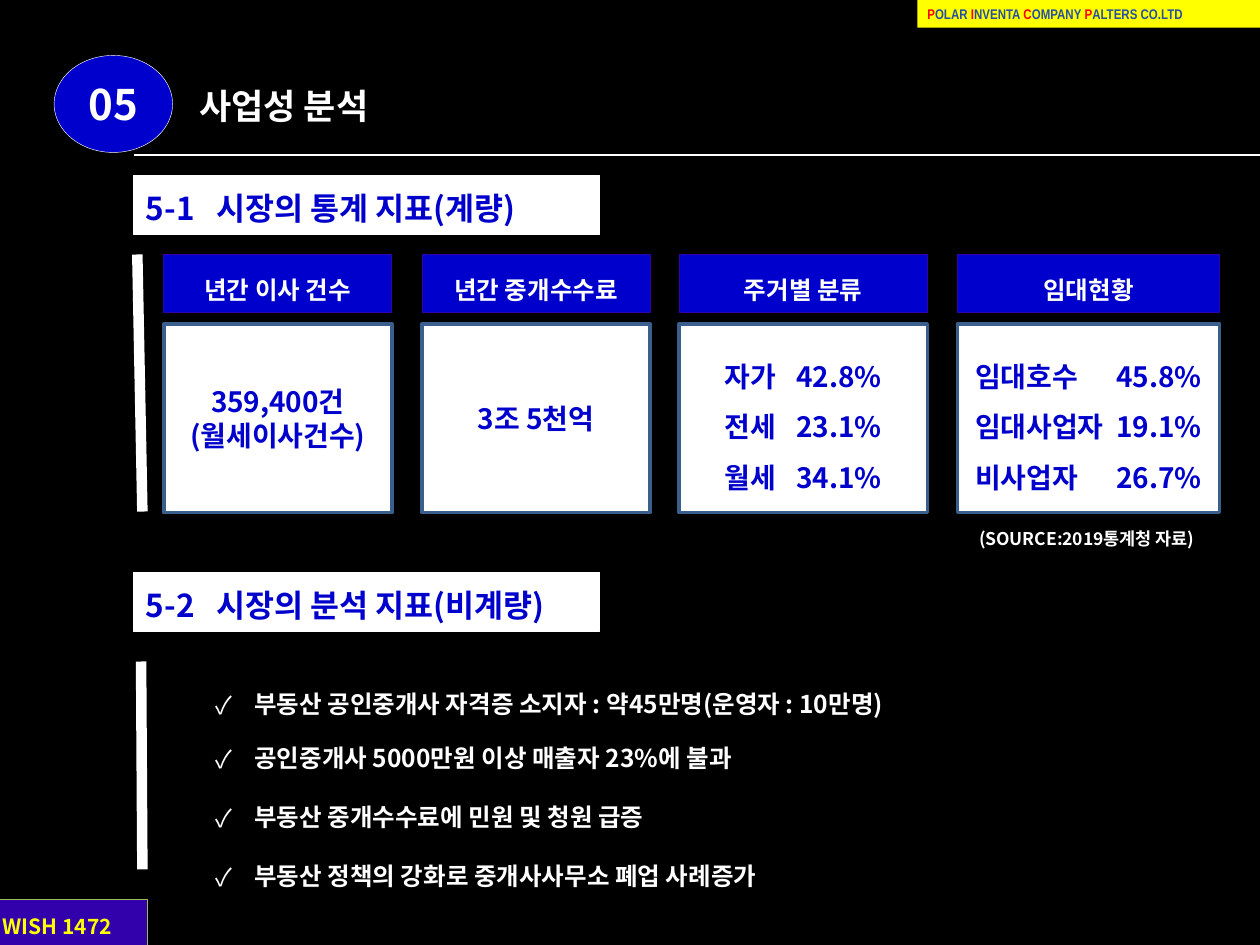
"""Build the market analysis slide with indicator cards and a checklist."""
from lxml.etree import SubElement
from pptx import Presentation
from pptx.dml.color import RGBColor
from pptx.enum.shapes import MSO_CONNECTOR, MSO_SHAPE
from pptx.enum.text import MSO_ANCHOR, PP_ALIGN
from pptx.oxml.ns import qn
from pptx.util import Inches, Pt

THEME = {
    "font": "Noto Sans CJK KR", "banner_font": "Arial Narrow",
    "black": "000000", "white": "FFFFFF", "blue": "0000CC", "violet": "3201AB",
    "steel": "3A5F8C", "yellow": "FFFF00", "green": "9BBB59",
    "red": "FF0000", "navy": "274FA4",
    "number": 24, "title": 20, "section": 18, "value": 16, "body": 14,
    "footer": 12, "source": 10, "banner": 8,
}
TITLE = ("05", "사업성 분석")
SECTIONS = [(1.39, "5-1", "시장의 통계 지표(계량)"), (4.54, "5-2", "시장의 분석 지표(비계량)")]
CARDS = [
    {"left": 1.3, "width": 1.81, "head": "년간 이사 건수",
     "lines": ["359,400건", "(월세이사건수)"]},
    {"left": 3.35, "width": 1.81, "head": "년간 중개수수료", "lines": ["3조 5천억"]},
    {"left": 5.39, "width": 1.97, "head": "주거별 분류", "inset": 0.36, "tab": 0.57,
     "lines": [("자가", "42.8%"), ("전세", "23.1%"), ("월세", "34.1%")]},
    {"left": 7.6, "width": 2.08, "head": "임대현황", "inset": 0.14, "tab": 1.12,
     "lines": [("임대호수", "45.8%"), ("임대사업자", "19.1%"), ("비사업자", "26.7%")]},
]
SOURCE = "(SOURCE:2019통계청 자료)"
CHECKS = [
    (5.3, 6.14, "부동산 공인중개사 자격증 소지자 : 약45만명(운영자 : 10만명)"),
    (5.73, 5.98, "공인중개사 5000만원 이상 매출자 23%에 불과"),
    (6.2, 5.51, "부동산 중개수수료에 민원 및 청원 급증"),
    (6.67, 6.57, "부동산 정책의 강화로 중개사사무소 폐업 사례증가"),
]
BANNER = ["POLAR", "INVENTA", "COMPANY", "PALTERS"]
BANNER_END = "CO.LTD"
FOOTER = "WISH 1472"
RULES = [(1.06, 1.23, 10, 1.23, 0.75), (1.09, 2.02, 1.13, 4.06, 6), (1.12, 5.25, 1.13, 6.9, 6)]


def color(name):
    return RGBColor.from_string(THEME[name])


def apply_format(target, values):
    for name, value in values.items():
        setattr(target, name, value)


def add_box(slide, box, fill, line=None, line_width=0.25, kind=MSO_SHAPE.RECTANGLE, **frame):
    shape = slide.shapes.add_shape(kind, *map(Inches, box))
    shape.shadow.inherit = False
    shape.fill.solid()
    shape.fill.fore_color.rgb = color(fill)
    if line:
        shape.line.color.rgb = color(line)
        shape.line.width = Pt(line_width)
    else:
        shape.line.fill.background()
    apply_format(shape.text_frame, {"word_wrap": True, "vertical_anchor": MSO_ANCHOR.TOP, **frame})
    return shape


def add_run(paragraph, text, size, ink, font="font"):
    run = paragraph.add_run()
    run.text = text
    run.font.color.rgb = color(ink)
    apply_format(run.font, {"size": Pt(THEME[size]), "bold": True, "name": THEME[font]})
    SubElement(run.font._element, qn("a:ea"), typeface=THEME[font])


def write(shape, lines, size, ink, align=PP_ALIGN.LEFT, spacing=1.0, tab=None, bullet=None):
    frame = shape.text_frame
    for index, line in enumerate(lines):
        paragraph = frame.add_paragraph() if index else frame.paragraphs[0]
        apply_format(paragraph, {"alignment": align, "line_spacing": spacing})
        properties = paragraph._p.get_or_add_pPr()
        if bullet:
            properties.set("marL", str(Inches(0.31)))
            properties.set("indent", str(-Inches(0.31)))
            SubElement(properties, qn("a:buFont"), typeface=THEME["font"])
            SubElement(properties, qn("a:buChar"), char=bullet)
        if tab:
            stops = SubElement(properties, qn("a:tabLst"))
            SubElement(stops, qn("a:tab"), pos=str(Inches(tab)), algn="l")
        add_run(paragraph, line if isinstance(line, str) else "\t".join(line), size, ink)


def add_rule(slide, left, top, right, bottom, width):
    rule = slide.shapes.add_connector(
        MSO_CONNECTOR.STRAIGHT, *map(Inches, (left, top, right, bottom)))
    rule.line.color.rgb = color("white")
    rule.line.width = Pt(width)
    SubElement(rule._element.spPr, qn("a:effectLst"))


def add_card(slide, card):
    left, width, tab = card["left"], card["width"], card.get("tab")
    head = add_box(slide, (left, 2.02, width, 0.46), "blue", "violet", 0.5)
    write(head, [card["head"]], "body", "white", PP_ALIGN.CENTER, 1.5)
    body = add_box(slide, (left, 2.57, width, 1.5), "white", "steel", 2,
                   vertical_anchor=MSO_ANCHOR.MIDDLE,
                   margin_left=Inches(card.get("inset", 0.1)))
    write(body, card["lines"], "value", "blue", PP_ALIGN.LEFT if tab else PP_ALIGN.CENTER,
          1.5 if tab else 1.0, tab)


def add_banner(slide):
    banner = add_box(slide, (7.28, 0, 2.72, 0.22), "yellow", margin_left=Inches(0.08),
                     margin_right=Inches(0.08), margin_top=Inches(0.04),
                     margin_bottom=Inches(0.04))
    paragraph = banner.text_frame.paragraphs[0]
    paragraph.alignment = PP_ALIGN.LEFT
    for word in BANNER:
        add_run(paragraph, word[0], "banner", "red", "banner_font")
        add_run(paragraph, word[1:] + " ", "banner", "navy", "banner_font")
    add_run(paragraph, BANNER_END, "banner", "navy", "banner_font")


def main():
    presentation = Presentation()
    apply_format(presentation, {"slide_width": Inches(10), "slide_height": Inches(7.5)})
    slide = presentation.slides.add_slide(presentation.slide_layouts[6])
    slide.background.fill.solid()
    slide.background.fill.fore_color.rgb = color("black")

    number, heading = TITLE
    title = add_box(slide, (1.46, 0.6, 2.82, 0.47), "black", "black",
                    kind=MSO_SHAPE.ROUNDED_RECTANGLE, vertical_anchor=MSO_ANCHOR.MIDDLE)
    write(title, [heading], "title", "white")
    badge = add_box(slide, (0.43, 0.44, 0.94, 0.77), "blue", "white",
                    kind=MSO_SHAPE.OVAL, vertical_anchor=MSO_ANCHOR.MIDDLE)
    write(badge, [number], "number", "white", PP_ALIGN.CENTER)
    for rule in RULES:
        add_rule(slide, *rule)
    for top, *label in SECTIONS:
        section = add_box(slide, (1.06, top, 3.7, 0.47), "white", "white")
        write(section, [label], "section", "blue", spacing=1.2, tab=0.56)
    for card in CARDS:
        add_card(slide, card)
    source = add_box(slide, (7.6, 4.14, 2.05, 0.31), "black", "black", 0.5)
    write(source, [SOURCE], "source", "white", PP_ALIGN.CENTER)
    for top, width, text in CHECKS:
        check = add_box(slide, (1.61, top, width, 0.46), "black", "black", 1)
        write(check, [text], "body", "white", spacing=1.5, bullet="✓")
    add_banner(slide)
    footer = add_box(slide, (-0.12, 7.14, 1.29, 0.36), "violet", "green",
                     margin_left=Inches(0.14), margin_top=Inches(0.11))
    write(footer, [FOOTER], "footer", "yellow")
    presentation.save("out.pptx")


if __name__ == "__main__":
    main()
